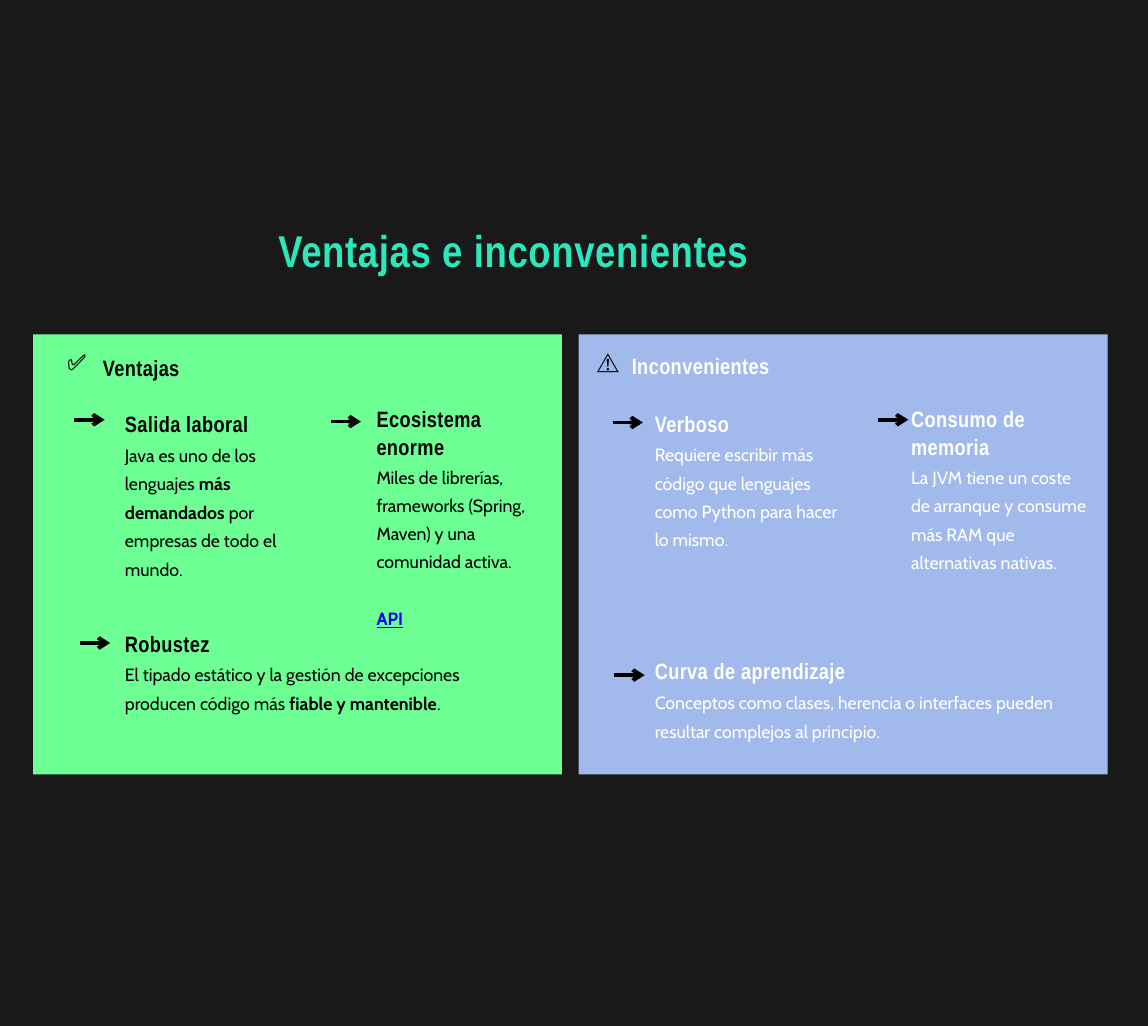
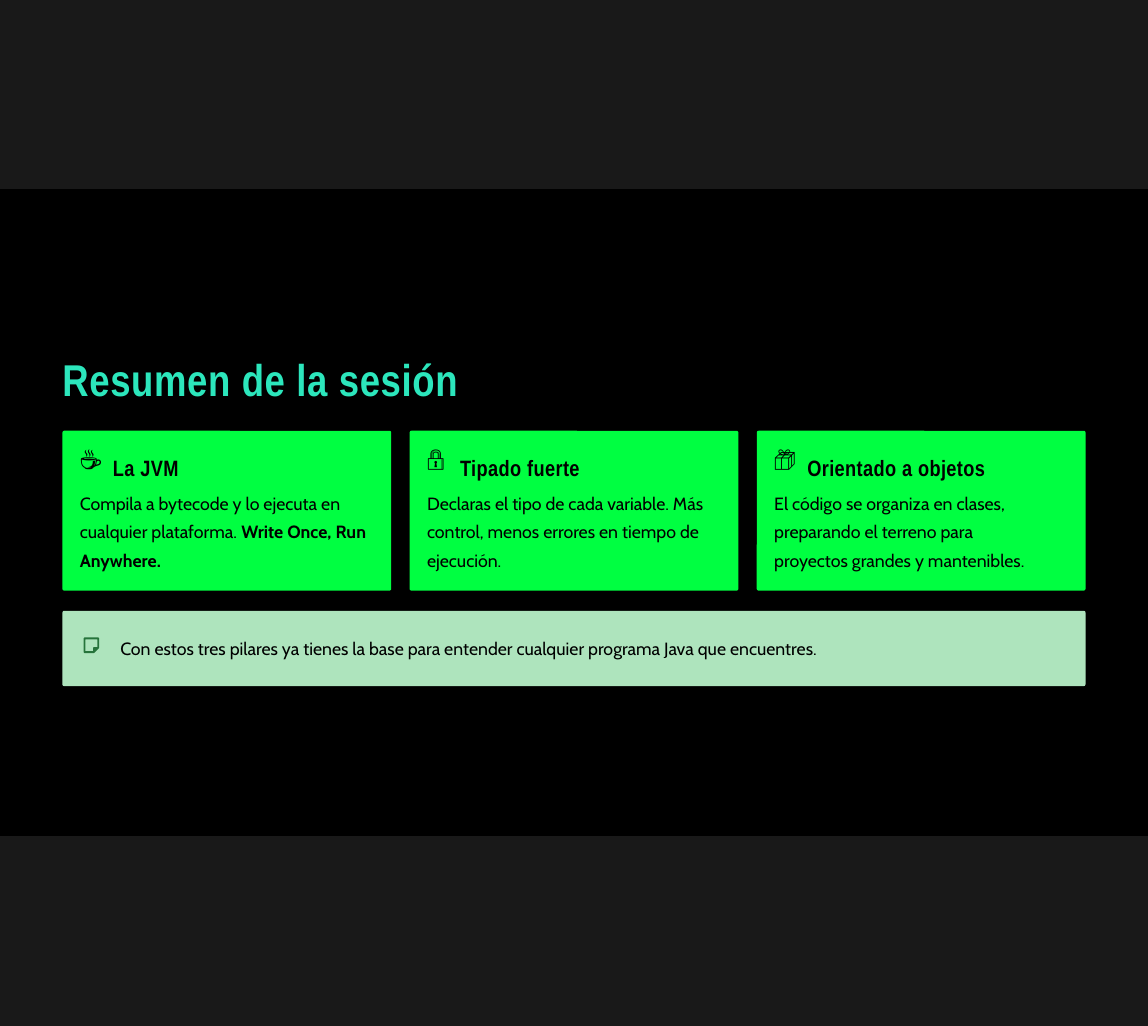
from dataclasses import dataclass

from lxml.etree import SubElement
from pptx import Presentation
from pptx.dml.color import RGBColor
from pptx.enum.shapes import MSO_CONNECTOR, MSO_SHAPE
from pptx.oxml.ns import qn
from pptx.util import Emu, Pt

SCALE = 9144
WIDTH, HEIGHT = 1250, 1117
COLORS = {
    "background": "191919",
    "black": "000000",
    "white": "FFFFFF",
    "title": "2CE6BC",
    "advantages": "6DFF93",
    "drawbacks": "A2B9EC",
    "card": "00FF41",
    "note": "AEE4BD",
    "note_icon": "26733B",
    "link": "0000FF",
}


@dataclass
class Style:
    font: str
    size: float
    bold: bool = False
    tracking: int = 0
    underline: bool = False


TITLE = Style("Arial Narrow", 34.9, True, 50)
HEADING = Style("Arial Narrow", 17.4, True, 30)
BODY = Style("Cabin", 13.9)
LINK = Style("Cabin", 13.9, True, underline=True)
ICON = Style("Roboto", 17.4)


@dataclass
class Line:
    text: str
    style: Style
    leading: float
    color: str = "black"
    before: float = 0


@dataclass
class Point:
    arrow: tuple
    box: tuple
    heading: str
    heading_leading: float
    body: str
    body_leading: float
    link: str = ""


def px(value):
    return Emu(round(value * SCALE))


def rgb(name):
    return RGBColor.from_string(COLORS[name])


def add_slide(deck):
    slide = deck.slides.add_slide(deck.slide_layouts[6])
    slide.background.fill.solid()
    slide.background.fill.fore_color.rgb = rgb("background")
    return slide


def add_block(slide, box, color, radius=0):
    kind = MSO_SHAPE.ROUNDED_RECTANGLE if radius else MSO_SHAPE.RECTANGLE
    block = slide.shapes.add_shape(kind, *map(px, box))
    block.shadow.inherit = False
    block.fill.solid()
    block.fill.fore_color.rgb = rgb(color)
    block.line.fill.background()
    if radius:
        block.adjustments[0] = radius / min(box[2:])


def format_run(run, style, color, emphasis):
    run.font.name = style.font
    run.font.size = Pt(style.size)
    run.font.bold = style.bold or emphasis
    run.font.underline = style.underline
    run.font.color.rgb = rgb(color)
    if style.tracking:
        run._r.get_or_add_rPr().set("spc", str(style.tracking))


def add_text(slide, box, *lines):
    frame = slide.shapes.add_textbox(*map(px, box)).text_frame
    frame.word_wrap = True
    frame.margin_left = frame.margin_right = 0
    frame.margin_top = frame.margin_bottom = 0
    for index, line in enumerate(lines):
        paragraph = frame.add_paragraph() if index else frame.paragraphs[0]
        paragraph.line_spacing = Pt(line.leading)
        if line.before:
            paragraph.space_before = Pt(line.before)
        for part, text in enumerate(line.text.split("**")):
            if text:
                run = paragraph.add_run()
                run.text = text
                format_run(run, line.style, line.color, part % 2 == 1)


def add_title(slide, left, top, text):
    add_text(slide, (left, top, 618, 64), Line(text, TITLE, 48.8, "title"))


def add_icon(slide, left, top, symbol):
    add_text(slide, (left, top, 31, 35), Line(symbol, ICON, 24.4))


def add_arrow(slide, left, top):
    arrow = slide.shapes.add_connector(
        MSO_CONNECTOR.STRAIGHT, px(left), px(top), px(left + 33), px(top))
    arrow.line.color.rgb = rgb("black")
    arrow.line.width = Pt(3)
    properties = arrow._element.spPr
    SubElement(properties.find(qn("a:ln")), qn("a:tailEnd"), type="arrow")
    SubElement(properties, qn("a:effectLst"))


def add_point(slide, point, color):
    lines = [
        Line(point.heading, HEADING, point.heading_leading, color),
        Line(point.body, BODY, point.body_leading, color),
    ]
    if point.link:
        leading = point.body_leading
        lines.append(Line(point.link, LINK, leading, "link", leading))
    add_text(slide, point.box, *lines)
    add_arrow(slide, *point.arrow)


def add_panel(slide, left, fill, color, symbol, heading, heading_at, points):
    add_block(slide, (left, 364, 576, 479), fill)
    add_icon(slide, *symbol)
    add_text(slide, (*heading_at, 185, 46), Line(heading, HEADING, 37.5, color))
    for point in points:
        add_point(slide, point, color)


def add_card(slide, left, symbol, heading, body, body_width):
    add_block(slide, (left, 469, 358, 174), "card", 2)
    add_icon(slide, left + 19, 479, symbol)
    add_text(slide, (left + 55, 490, 241, 32), Line(heading, HEADING, 24.4))
    add_text(slide, (left + 19, 528, body_width, 92), Line(body, BODY, 22.5))


def add_note_icon(slide, left, top, size, fold):
    right, bottom = left + size, top + size
    inner_x, inner_y = right - fold, bottom - fold
    builder = slide.shapes.build_freeform(left, top, scale=SCALE)
    builder.add_line_segments([
        (right, top), (right, inner_y), (inner_x, bottom), (left, bottom)])
    builder.move_to(inner_x, bottom)
    builder.add_line_segments(
        [(inner_x, inner_y), (right, inner_y)], close=False)
    icon = builder.convert_to_shape()
    icon.shadow.inherit = False
    icon.fill.background()
    icon.line.color.rgb = rgb("note_icon")
    icon.line.width = Pt(1.5)


def add_note(slide, text):
    add_block(slide, (68, 665, 1114, 82), "note", 2)
    add_note_icon(slide, 92, 695, 15, 5)
    add_text(slide, (131, 690, 850, 26), Line(text, BODY, 19.5))


def build_comparison(deck):
    slide = add_slide(deck)
    add_title(slide, 303, 233, "Ventajas e inconvenientes")
    add_panel(slide, 36, "advantages", "black", (73, 374, "✅"),
              "Ventajas", (112, 363), [
        Point((81, 457), (136, 424, 188, 215), "Salida laboral", 37.5,
              "Java es uno de los lenguajes **más demandados** por empresas "
              "de todo el mundo.", 22.3),
        Point((360, 459), (410, 440, 184, 236), "Ecosistema enorme", 21.7,
              "Miles de librerías, frameworks (Spring, Maven) y una "
              "comunidad activa.", 22.1, "API"),
        Point((87, 700), (136, 681, 412, 108), "Robustez", 24.4,
              "El tipado estático y la gestión de excepciones producen "
              "código más **fiable y mantenible**.", 22.5),
    ])
    add_panel(slide, 630, "drawbacks", "white", (650, 374, "⚠"),
              "Inconvenientes", (688, 360), [
        Point((667, 460), (713, 424, 200, 184), "Verboso", 37.5,
              "Requiere escribir más código que lenguajes como Python para "
              "hacer lo mismo.", 22.1),
        Point((956, 457), (992, 440, 195, 228), "Consumo de memoria", 21.7,
              "La JVM tiene un coste de arranque y consume más RAM que "
              "alternativas nativas.", 22.3),
        Point((669, 735), (713, 711, 484, 108), "Curva de aprendizaje", 24.4,
              "Conceptos como clases, herencia o interfaces pueden resultar "
              "complejos al principio.", 22.5),
    ])


def build_summary(deck):
    slide = add_slide(deck)
    add_block(slide, (0, 206, WIDTH, 704), "black")
    add_title(slide, 68, 374, "Resumen de la sesión")
    cards = [
        ("☕", "La JVM",
         "Compila a bytecode y lo ejecuta en cualquier plataforma. "
         "**Write Once, Run Anywhere.**", 317),
        ("🔒", "Tipado fuerte",
         "Declaras el tipo de cada variable. Más control, menos errores en "
         "tiempo de ejecución.", 302),
        ("📦", "Orientado a objetos",
         "El código se organiza en clases, preparando el terreno para "
         "proyectos grandes y mantenibles.", 301),
    ]
    for column, card in enumerate(cards):
        add_card(slide, 68 + column * 378, *card)
    add_note(slide, "Con estos tres pilares ya tienes la base para entender "
                    "cualquier programa Java que encuentres.")


def main():
    deck = Presentation()
    deck.slide_width, deck.slide_height = px(WIDTH), px(HEIGHT)
    build_comparison(deck)
    build_summary(deck)
    deck.save("out.pptx")


if __name__ == "__main__":
    main()
